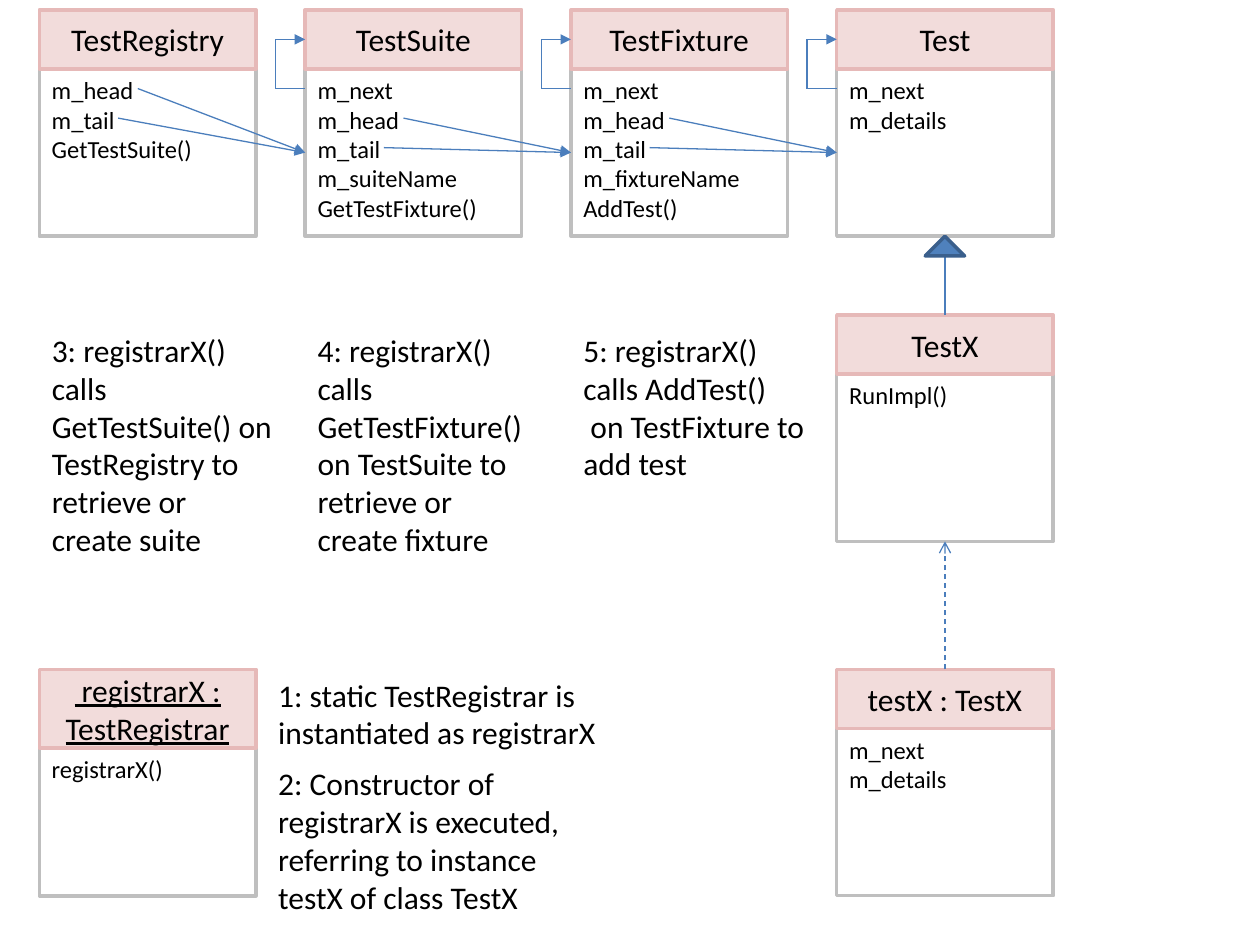
import pptx
import pptx.util
import pptx.dml.color
import pptx.enum.dml
import pptx.enum.shapes
import pptx.enum.text
import pptx.oxml
import pptx.oxml.ns

RGBColor = pptx.dml.color.RGBColor
BLACK = RGBColor(0x00, 0x00, 0x00)
PINK = RGBColor(0xF2, 0xDC, 0xDB)
ROSE = RGBColor(0xE6, 0xB9, 0xB8)
GREY = RGBColor(0xBF, 0xBF, 0xBF)
LINK_BLUE = RGBColor(0x4B, 0x7E, 0xBC)
BLUE = RGBColor(0x4F, 0x81, 0xBD)
DARK_BLUE = RGBColor(0x3A, 0x5F, 0x8C)

SHAPES = pptx.enum.shapes.MSO_SHAPE
ALIGN = pptx.enum.text.PP_ALIGN
ANCHOR = pptx.enum.text.MSO_ANCHOR

SLIDE_WIDTH = pptx.util.Inches(10)
SLIDE_HEIGHT = pptx.util.Inches(7.5)
GRID_COLUMNS = 64
CLASS_LEFTS = [2 + 13.5 * index for index in range(4)]
CLASS_WIDTH = 11
CLASS_HEIGHT = 11.5
HEADER_HEIGHT = 3
TOP_ROW, MIDDLE_ROW, BOTTOM_ROW = 0.5, 16, 34
LIST_TARGET_ROW = 7.75

TOP_CLASSES = [
    ("TestRegistry", ["m_head", "m_tail", "GetTestSuite()"]),
    ("TestSuite", ["m_next", "m_head", "m_tail", "m_suiteName", "GetTestFixture()"]),
    ("TestFixture", ["m_next", "m_head", "m_tail", "m_fixtureName", "AddTest()"]),
    ("Test", ["m_next", "m_details"]),
]
CALL_STEPS = [
    (["3: registrarX() calls GetTestSuite() on TestRegistry to retrieve or create suite"], 12.3),
    (["4: registrarX() calls GetTestFixture() on TestSuite to retrieve or create fixture"], 12.3),
    (["5: registrarX() calls AddTest()", " on TestFixture to add test"], 8.4),
]


def grid(*cells):
    return [round(cell * SLIDE_WIDTH / GRID_COLUMNS) for cell in cells]


def write(frame, lines, size, align=ALIGN.LEFT, underline=None):
    frame.word_wrap = True
    frame.text = "\n".join(lines)
    for paragraph in frame.paragraphs:
        paragraph.alignment = align
        for run in paragraph.runs:
            run.font.name = "Calibri"
            run.font.size = pptx.util.Pt(size)
            run.font.color.rgb = BLACK
            run.font.underline = underline


def add_outlined(slide, kind, area, outline, fill=None):
    outlined = slide.shapes.add_shape(kind, *grid(*area))
    outlined.shadow.inherit = False
    outlined.line.color.rgb = outline
    outlined.line.width = pptx.util.Pt(2)
    if fill is None:
        outlined.fill.background()
    else:
        outlined.fill.solid()
        outlined.fill.fore_color.rgb = fill
    return outlined


def add_class(slide, left, top, name, members, header_height=HEADER_HEIGHT, underline=None):
    body_area = (left, top + header_height, CLASS_WIDTH, CLASS_HEIGHT - header_height)
    body = add_outlined(slide, SHAPES.RECTANGLE, body_area, GREY)
    body.text_frame.vertical_anchor = ANCHOR.TOP
    write(body.text_frame, members, 14)
    header_area = (left, top, CLASS_WIDTH, header_height)
    header = add_outlined(slide, SHAPES.RECTANGLE, header_area, ROSE, PINK)
    header.text_frame.vertical_anchor = ANCHOR.MIDDLE
    write(header.text_frame, [name], 18, ALIGN.CENTER, underline)


def add_link(slide, start, end, arrowhead=None, dashed=False):
    link = slide.shapes.add_connector(
        pptx.enum.shapes.MSO_CONNECTOR.STRAIGHT, *grid(*start, *end))
    link.line.color.rgb = LINK_BLUE
    link.line.width = pptx.util.Pt(0.75)
    if dashed:
        link.line.dash_style = pptx.enum.dml.MSO_LINE.DASH
    properties = link._element.spPr
    if arrowhead:
        tail = pptx.oxml.parse_xml(
            f'<a:tailEnd {pptx.oxml.ns.nsdecls("a")} type="{arrowhead}"/>')
        properties.find(pptx.oxml.ns.qn("a:ln")).append(tail)
    properties.append(pptx.oxml.parse_xml(f'<a:effectLst {pptx.oxml.ns.nsdecls("a")}/>'))


def add_next_loop(slide, left):
    outer = left - 1.5
    add_link(slide, (outer, 2), (left, 2), "triangle")
    add_link(slide, (outer, 2), (outer, 4.5))
    add_link(slide, (outer, 4.5), (left, 4.5))


def add_list_links(slide, left, next_left, head_row):
    target = (next_left, LIST_TARGET_ROW)
    add_link(slide, (left + 5, head_row), target, "triangle")
    add_link(slide, (left + 4, head_row + 1.5), target, "triangle")


def add_step(slide, area, lines):
    step = slide.shapes.add_textbox(*grid(*area))
    write(step.text_frame, lines, 18)
    step.text_frame.auto_size = pptx.enum.text.MSO_AUTO_SIZE.SHAPE_TO_FIT_TEXT


def main():
    deck = pptx.Presentation()
    deck.slide_width, deck.slide_height = SLIDE_WIDTH, SLIDE_HEIGHT
    slide = deck.slides.add_slide(deck.slide_layouts[6])

    for left, (name, members) in zip(CLASS_LEFTS, TOP_CLASSES):
        add_class(slide, left, TOP_ROW, name, members)
    for left in CLASS_LEFTS[1:]:
        add_next_loop(slide, left)
    for left, next_left, head_row in zip(CLASS_LEFTS, CLASS_LEFTS[1:], (4.5, 6, 6)):
        add_list_links(slide, left, next_left, head_row)

    test_left = CLASS_LEFTS[-1]
    test_center = test_left + CLASS_WIDTH / 2
    test_bottom = TOP_ROW + CLASS_HEIGHT
    add_class(slide, CLASS_LEFTS[0], BOTTOM_ROW, " registrarX : TestRegistrar",
              ["registrarX()"], header_height=4, underline=True)
    add_class(slide, test_left, BOTTOM_ROW, "testX : TestX", ["m_next", "m_details"])
    add_class(slide, test_left, MIDDLE_ROW, "TestX", ["RunImpl()"])
    add_link(slide, (test_center, MIDDLE_ROW), (test_center, test_bottom))
    add_outlined(slide, SHAPES.ISOSCELES_TRIANGLE,
                 (test_center - 1, test_bottom, 2, 1), DARK_BLUE, BLUE)
    add_link(slide, (test_center, BOTTOM_ROW), (test_center, MIDDLE_ROW + CLASS_HEIGHT),
             "arrow", dashed=True)

    add_step(slide, (13.5, 38.5, 17, 8.4),
             ["2: Constructor of registrarX is executed, "
              "referring to instance testX of class TestX"])
    add_step(slide, (13.5, BOTTOM_ROW, 18, 4.5),
             ["1: static TestRegistrar is instantiated as registrarX"])
    for left, (lines, height) in zip(CLASS_LEFTS, CALL_STEPS):
        add_step(slide, (left, MIDDLE_ROW + 0.5, 12.5, height), lines)

    deck.save("out.pptx")


if __name__ == "__main__":
    main()
